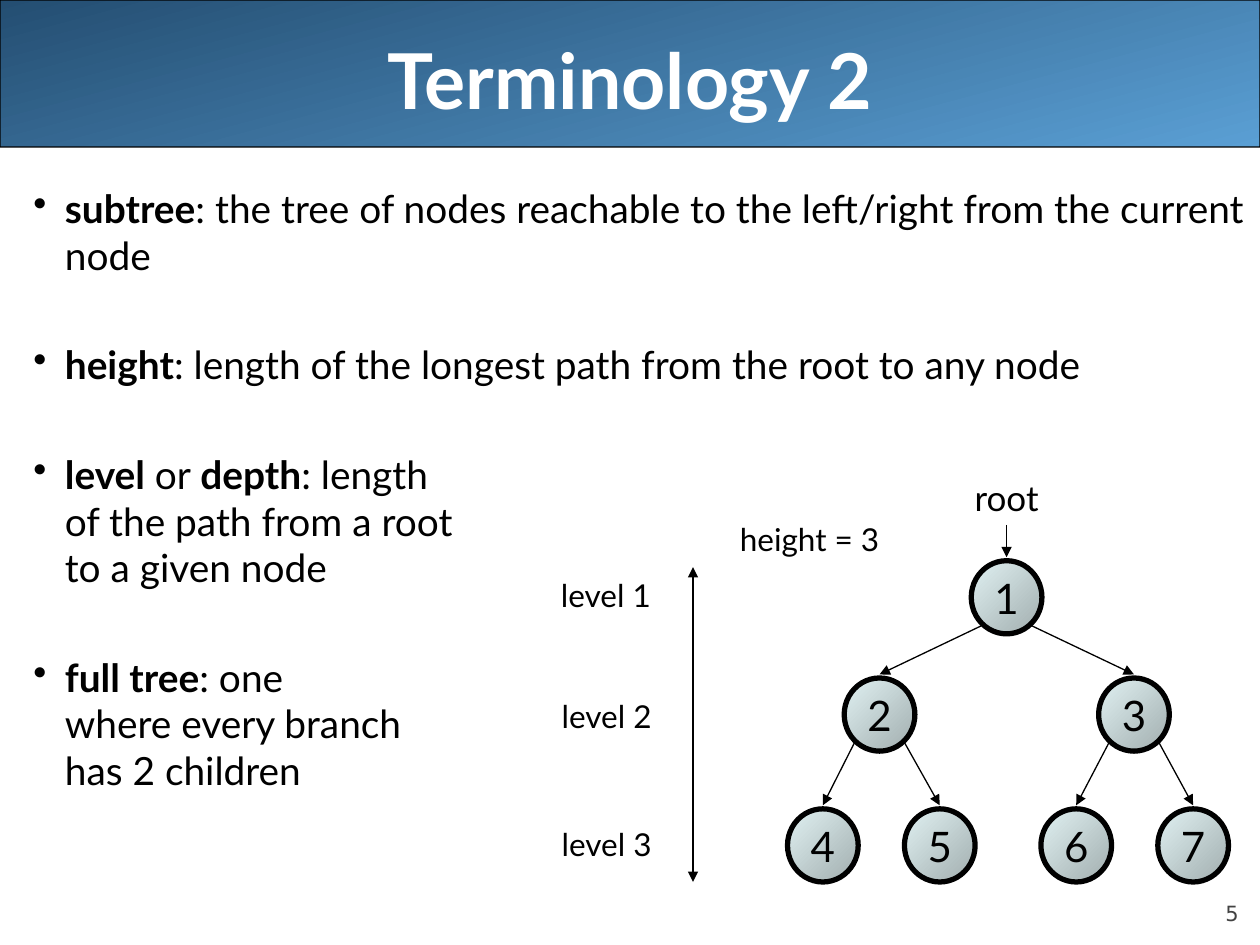
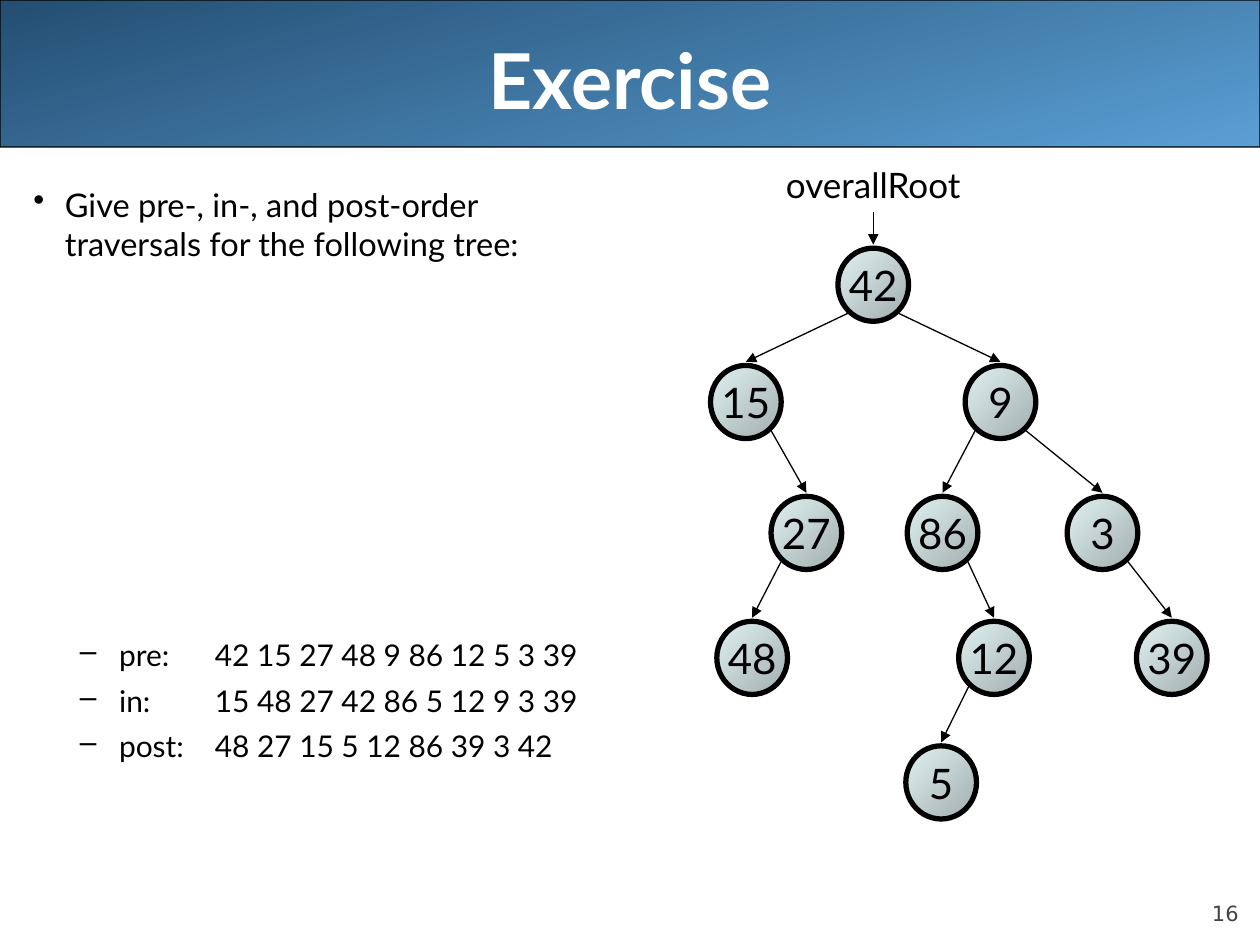
from lxml.etree import SubElement
from pptx import Presentation
from pptx.dml.color import RGBColor
from pptx.enum.shapes import MSO_CONNECTOR as Line, MSO_SHAPE as Shape
from pptx.enum.text import MSO_ANCHOR as Anchor, PP_ALIGN as Align
from pptx.oxml.ns import qn
from pptx.util import Pt

COLORS = {
    "ink": "000000", "title": "FFFFFF", "number": "424242",
    "band_dark": "244E72", "band_light": "5A9FD4",
    "node_dark": "A1ADAE", "node_light": "E1F2F3",
}

TITLE_FORMAT = {"size": 44, "color": "title", "bold": True}
NUMBER_FORMAT = {"size": 12, "color": "number", "name": "DejaVu Sans"}

# A bullet level: mark, left margin, hanging indent, tab stop
TERM = {"mark": "•", "margin": 18, "hang": 18, "tab": None}
ANSWER = {"mark": "–", "margin": 49, "hang": 22.5, "tab": 103.7}

# Body paragraphs: level, text size, space before, runs of (text, bold)
# Tree nodes: value, centre, row, parent
SLIDES = [
    {
        "title": "Terminology 2",
        "number": "5",
        "body": [
            (TERM, 22.2, 0, [("subtree", True),
                             (": the tree of nodes reachable to the left/right "
                              "from the current node", False)]),
            (TERM, 22.2, 36, [("height", True),
                              (": length of the longest path from the root "
                               "to any node", False)]),
            (TERM, 22.2, 36, [("level", True), (" or ", False), ("depth", True),
                              (": length\nof the path from a root \n"
                               "to a given node", False)]),
            (TERM, 22.2, 36, [("full tree", True),
                              (": one\nwhere every branch\nhas 2 children", False)]),
        ],
        "root": ("root", 54, 320.4),
        "nodes": [
            ("1", 575.2, 0, None),
            ("2", 502.6, 1, "1"), ("3", 648, 1, "1"),
            ("4", 470.2, 2, "2"), ("5", 537, 2, "2"),
            ("6", 615, 2, "3"), ("7", 681.8, 2, "3"),
        ],
        # text, left, top, width
        "labels": [
            ("height = 3", 411, 293.8, 98.6),
            ("level 1", 311.4, 325.4, 67.7),
            ("level 2", 311.8, 394.6, 67.7),
            ("level 3", 311.8, 468, 67.7),
        ],
        "height_span": (396, 324, 504),
    },
    {
        "title": "Exercise",
        "number": "16",
        "body": [
            (TERM, 18.6, 0, [("Give pre-, in-, and post-order\n"
                              "traversals for the following tree:", False)]),
            (ANSWER, 17.1, 213.7, [("pre:\t42 15 27 48 9 86 12 5 3 39", False)]),
            (ANSWER, 17.1, 5.5, [("in:\t15 48 27 42 86 5 12 9 3 39", False)]),
            (ANSWER, 17.1, 5.5, [("post:\t48 27 15 5 12 86 39 3 42", False)]),
        ],
        "root": ("overallRoot", 121.7, 141.8),
        "nodes": [
            ("42", 499, 0, None),
            ("15", 426.2, 1, "42"), ("9", 571.7, 1, "42"),
            ("27", 460.8, 2, "15"), ("86", 538.6, 2, "9"), ("3", 630, 2, "9"),
            ("48", 429.8, 3, "27"), ("12", 568, 3, "86"), ("39", 669.6, 3, "3"),
            ("5", 537.8, 4, "12"),
        ],
        "labels": [],
        "height_span": None,
    },
]

SLIDE_W, SLIDE_H = 720, 540
NODE_W, NODE_H = 40.4, 41.8
ROW_OFFSETS = [0, 67, 141.8, 213.2, 284.4]
BRANCH_X, BRANCH_Y = 14.4, 37.2
ARROW_GAP = 2
ROOT_LABEL_RISE, ROOT_LABEL_H = 51.8, 31.4
LABEL_H = 28.8


def color(key):
    return RGBColor.from_string(COLORS[key])


def write(paragraph, text, size, color_key="ink", **extra):
    """Add text to a paragraph, turning newlines into line breaks."""
    formats = {"name": "Lato", "size": Pt(size), "bold": False, **extra}
    for index, part in enumerate(text.split("\n")):
        if index:
            paragraph.add_line_break()
        run = paragraph.add_run()
        run.text = part
        for attribute, value in formats.items():
            setattr(run.font, attribute, value)
        run.font.color.rgb = color(color_key)


def add_box(slide, left, top, width, height, **frame_format):
    box = slide.shapes.add_textbox(Pt(left), Pt(top), Pt(width), Pt(height))
    for attribute, value in {"word_wrap": True, **frame_format}.items():
        setattr(box.text_frame, attribute, value)
    return box


def add_line_of_text(box, text, align, size, color="ink", **extra):
    paragraph = box.text_frame.paragraphs[0]
    paragraph.alignment = align
    write(paragraph, text, size, color, **extra)


def add_gradient_shape(slide, kind, frame, start, end, clockwise, line_width):
    shape = slide.shapes.add_shape(kind, *map(Pt, frame))
    shape.shadow.inherit = False
    shape.fill.gradient()
    shape.fill.gradient_angle = 360 - clockwise
    for stop, key in zip(shape.fill.gradient_stops, (start, end)):
        stop.color.rgb = color(key)
    shape.line.color.rgb = color("ink")
    shape.line.width = Pt(line_width)
    return shape


def add_arrow(slide, x1, y1, x2, y2, ends=("tailEnd",)):
    arrow = slide.shapes.add_connector(Line.STRAIGHT, *map(Pt, (x1, y1, x2, y2)))
    arrow.line.color.rgb = color("ink")
    arrow.line.width = Pt(0.75)
    properties = arrow._element.spPr
    for end in ends:
        SubElement(properties.find(qn("a:ln")), qn(f"a:{end}"), type="triangle")
    SubElement(properties, qn("a:effectLst"))
    return arrow


def add_frame(slide, title, number):
    """Add the band, title and slide number that all slides share."""
    band = add_gradient_shape(slide, Shape.ROUNDED_RECTANGLE, (0, 0, SLIDE_W, 84),
                              "band_dark", "band_light", 75, 0.75)
    band.adjustments[0] = 0.001
    heading = add_box(slide, 36, 0, 648, 90, vertical_anchor=Anchor.MIDDLE)
    add_line_of_text(heading, title, Align.CENTER, **TITLE_FORMAT)
    corner = add_box(slide, 648, 500.4, 59.8, 28.8, vertical_anchor=Anchor.BOTTOM,
                     margin_left=0, margin_right=0, margin_top=0, margin_bottom=0)
    add_line_of_text(corner, number, Align.RIGHT, **NUMBER_FORMAT)


def set_bullet(paragraph, level):
    properties = paragraph._p.get_or_add_pPr()
    properties.set("marL", str(Pt(level["margin"])))
    properties.set("indent", str(-Pt(level["hang"])))
    bullet_color = SubElement(properties, qn("a:buClr"))
    SubElement(bullet_color, qn("a:srgbClr"), val=COLORS["ink"])
    SubElement(properties, qn("a:buChar"), char=level["mark"])
    if level["tab"]:
        tabs = SubElement(properties, qn("a:tabLst"))
        SubElement(tabs, qn("a:tab"), pos=str(Pt(level["tab"])), algn="l")


def add_body(slide, paragraphs):
    frame = add_box(slide, 12, 102, 708, 408).text_frame
    for index, (level, size, space, runs) in enumerate(paragraphs):
        paragraph = frame.add_paragraph() if index else frame.paragraphs[0]
        set_bullet(paragraph, level)
        paragraph.space_before = Pt(space)
        for text, bold in runs:
            write(paragraph, text, size, bold=bold)


def add_tree(slide, root, nodes):
    root_name, name_width, tree_top = root
    root_x = nodes[0][1]
    name = add_box(slide, root_x - name_width / 2, tree_top - ROOT_LABEL_RISE,
                   name_width, ROOT_LABEL_H, word_wrap=False)
    add_line_of_text(name, root_name, Align.CENTER, 20)
    pointer = add_arrow(slide, root_x, tree_top - ROOT_LABEL_RISE + ROOT_LABEL_H,
                        root_x, tree_top - ARROW_GAP)
    pointer.begin_connect(name, 2)

    places = {}
    for value, x, row, parent in nodes:
        top = tree_top + ROW_OFFSETS[row]
        places[value] = x, top
        node = add_gradient_shape(slide, Shape.OVAL,
                                  (x - NODE_W / 2, top, NODE_W, NODE_H),
                                  "node_dark", "node_light", 225, 3)
        node.text_frame.word_wrap = False
        node.text_frame.vertical_anchor = Anchor.MIDDLE
        add_line_of_text(node, value, Align.CENTER, 24)
        if parent:
            parent_x, parent_top = places[parent]
            side = BRANCH_X if x > parent_x else -BRANCH_X
            add_arrow(slide, parent_x + side, parent_top + BRANCH_Y,
                      x, top - ARROW_GAP)


def main():
    deck = Presentation()
    deck.slide_width, deck.slide_height = Pt(SLIDE_W), Pt(SLIDE_H)
    for content in SLIDES:
        slide = deck.slides.add_slide(deck.slide_layouts[6])
        add_frame(slide, content["title"], content["number"])
        add_body(slide, content["body"])
        add_tree(slide, content["root"], content["nodes"])
        for text, left, top, width in content["labels"]:
            label = add_box(slide, left, top, width, LABEL_H, word_wrap=False)
            add_line_of_text(label, text, Align.RIGHT, 18)
        if content["height_span"]:
            x, top, bottom = content["height_span"]
            add_arrow(slide, x, top, x, bottom, ends=("headEnd", "tailEnd"))
    deck.save("out.pptx")


if __name__ == "__main__":
    main()
